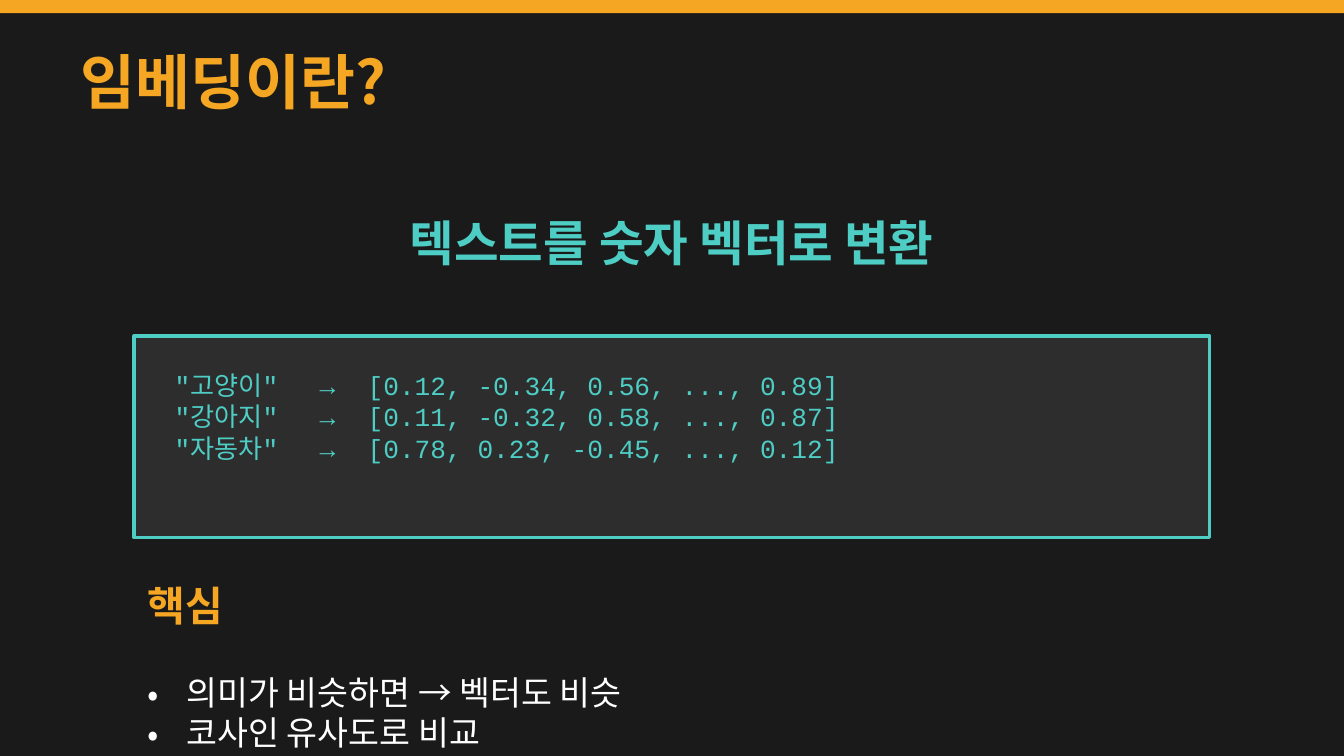
from dataclasses import dataclass
from typing import Optional

from lxml.etree import SubElement
from pptx import Presentation
from pptx.dml.color import RGBColor
from pptx.enum.shapes import MSO_SHAPE as Shape
from pptx.enum.text import MSO_ANCHOR as Anchor, PP_ALIGN as Align
from pptx.oxml.ns import qn
from pptx.util import Cm, Pt

BACKGROUND = RGBColor(0x1A, 0x1A, 0x1A)
PANEL = RGBColor(0x2D, 0x2D, 0x2D)
ORANGE = RGBColor(0xF5, 0xA6, 0x23)
TEAL = RGBColor(0x4E, 0xCD, 0xC4)
WHITE = RGBColor(0xFF, 0xFF, 0xFF)

KOREAN = "Noto Sans CJK KR"
MONO = "Courier New"
BULLET_INDENT = Cm(0.74)
VECTOR_TABS = (Cm(2.74), Cm(3.65))


@dataclass(frozen=True)
class Area:
    """Left, top, width and height in centimetres."""
    left: float
    top: float
    width: float
    height: float

    def lengths(self) -> tuple:
        return Cm(self.left), Cm(self.top), Cm(self.width), Cm(self.height)


@dataclass(frozen=True)
class TextBlock:
    area: Area
    lines: tuple
    size: int
    color: RGBColor
    font: str = KOREAN
    bold: bool = False
    align: Align = Align.LEFT
    anchor: Anchor = Anchor.MIDDLE
    bulleted: bool = False
    tabs: tuple = ()


def draw_bar(slide, area: Area, fill: RGBColor, line: Optional[RGBColor] = None) -> None:
    bar = slide.shapes.add_shape(Shape.RECTANGLE, *area.lengths())
    bar.shadow.inherit = False
    bar.fill.solid()
    bar.fill.fore_color.rgb = fill
    if line is None:
        bar.line.fill.background()
    else:
        bar.line.color.rgb = line
        bar.line.width = Pt(2)


def add_bullet(paragraph) -> None:
    properties = paragraph._p.get_or_add_pPr()
    properties.set("marL", str(BULLET_INDENT))
    properties.set("indent", str(-BULLET_INDENT))
    SubElement(properties, qn("a:buFont"), typeface=KOREAN)
    SubElement(properties, qn("a:buChar"), char="•")


def add_tabs(paragraph, stops: tuple) -> None:
    tab_list = SubElement(paragraph._p.get_or_add_pPr(), qn("a:tabLst"))
    for stop in stops:
        SubElement(tab_list, qn("a:tab"), pos=str(stop), algn="l")


def draw_text(slide, block: TextBlock) -> None:
    frame = slide.shapes.add_textbox(*block.area.lengths()).text_frame
    frame.word_wrap = True
    frame.vertical_anchor = block.anchor
    frame.text = "\n".join(block.lines)
    for paragraph in frame.paragraphs:
        paragraph.alignment = block.align
        if block.bulleted:
            add_bullet(paragraph)
        if block.tabs:
            add_tabs(paragraph, block.tabs)
        font = paragraph.font
        font.name = block.font
        font.size = Pt(block.size)
        font.bold = block.bold
        font.color.rgb = block.color


VECTORS = (
    ("고양이", "[0.12, -0.34, 0.56, ..., 0.89]"),
    ("강아지", "[0.11, -0.32, 0.58, ..., 0.87]"),
    ("자동차", "[0.78, 0.23, -0.45, ..., 0.12]"),
)

TITLE = TextBlock(Area(1.27, 0.76, 22.86, 1.52), ("임베딩이란?",), 32, ORANGE, bold=True)
DEFINITION = TextBlock(Area(2.54, 3.81, 20.32, 1.52), ("텍스트를 숫자 벡터로 변환",),
                       26, TEAL, bold=True, align=Align.CENTER)
EXAMPLES = TextBlock(Area(3.05, 6.86, 19.3, 2.79),
                     tuple(f'"{word}"\t→\t{vector}' for word, vector in VECTORS),
                     14, TEAL, font=MONO, anchor=Anchor.TOP, tabs=VECTOR_TABS)
KEY_HEADING = TextBlock(Area(2.54, 10.92, 20.32, 1.02), ("핵심",), 22, ORANGE, bold=True)
KEY_POINTS = TextBlock(Area(2.54, 12.19, 20.32, 2.54),
                       ("의미가 비슷하면 → 벡터도 비슷", "코사인 유사도로 비교"),
                       18, WHITE, bulleted=True)


def main() -> None:
    deck = Presentation()
    deck.slide_width, deck.slide_height = Cm(25.4), Cm(14.29)
    slide = deck.slides.add_slide(deck.slide_layouts[6])
    slide.background.fill.solid()
    slide.background.fill.fore_color.rgb = BACKGROUND

    # Top accent and heading
    draw_bar(slide, Area(0, 0, 25.4, 0.25), ORANGE)
    draw_text(slide, TITLE)
    draw_text(slide, DEFINITION)

    # Example vectors
    draw_bar(slide, Area(2.54, 6.35, 20.32, 3.81), PANEL, TEAL)
    draw_text(slide, EXAMPLES)

    # Key points
    draw_text(slide, KEY_HEADING)
    draw_text(slide, KEY_POINTS)

    deck.save("out.pptx")


if __name__ == "__main__":
    main()
